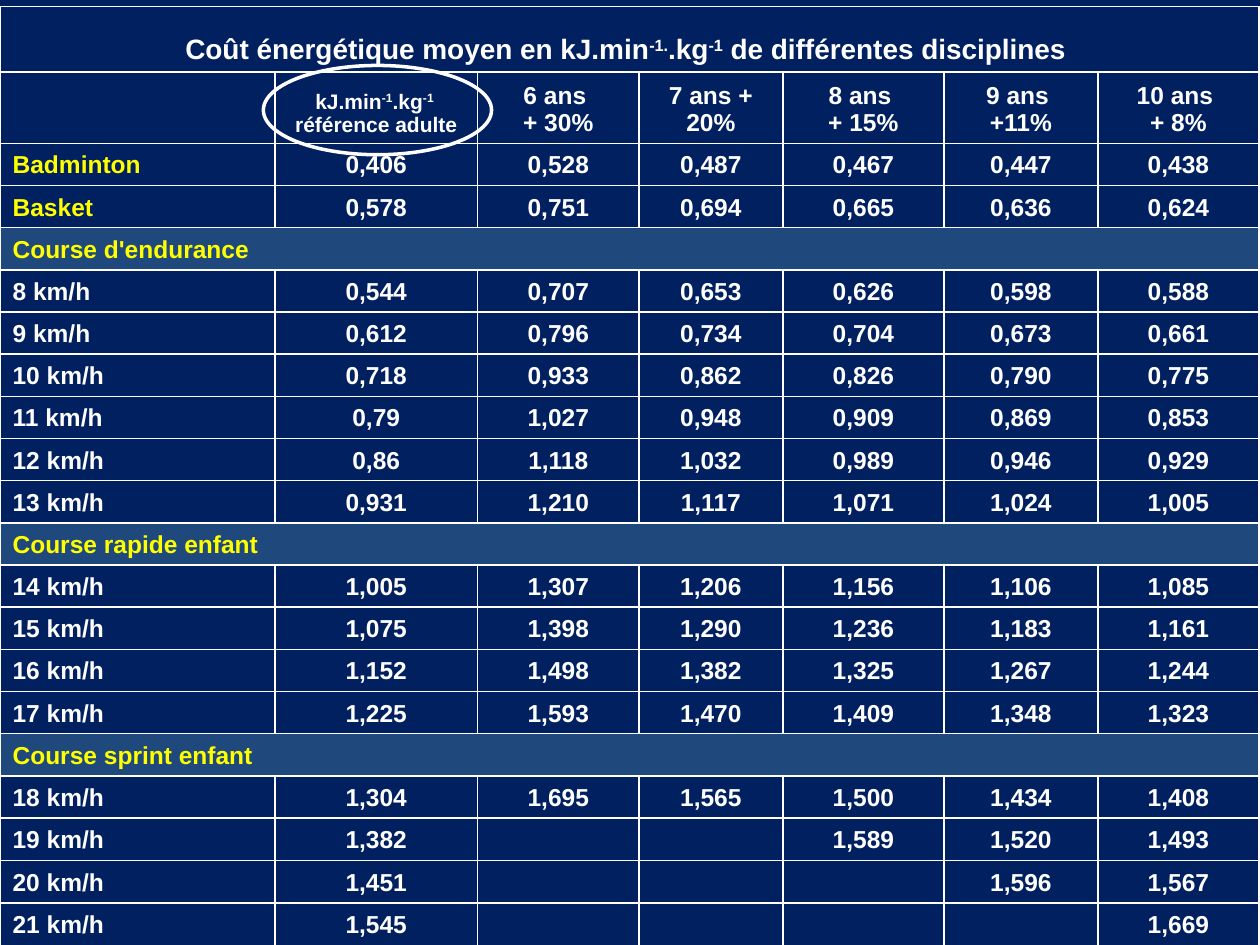
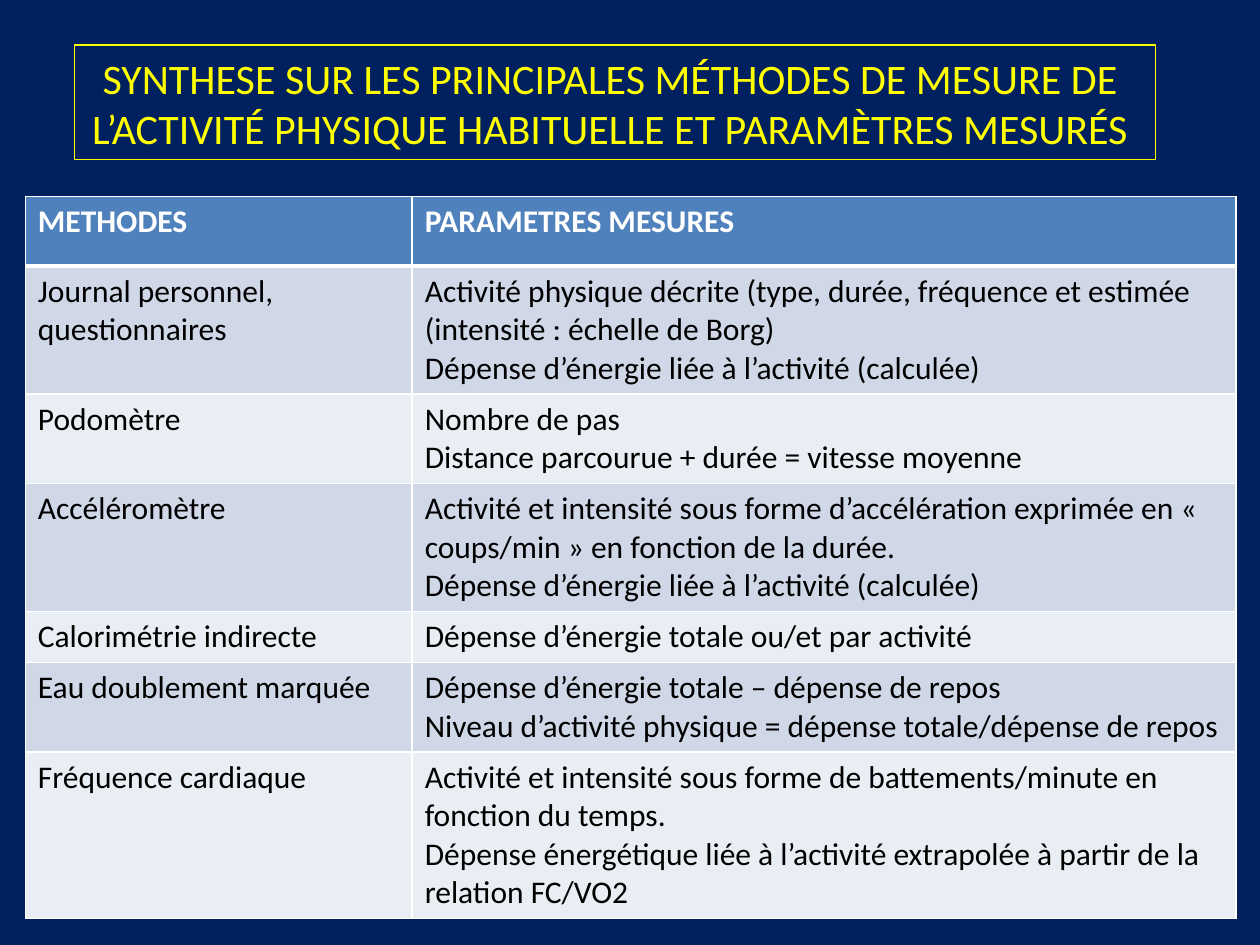
from dataclasses import dataclass

from lxml.etree import SubElement
from pptx import Presentation
from pptx.dml.color import RGBColor
from pptx.enum.shapes import MSO_SHAPE
from pptx.enum.text import MSO_ANCHOR, PP_ALIGN
from pptx.oxml import parse_xml
from pptx.oxml.ns import nsdecls, qn
from pptx.util import Cm, Pt


@dataclass(frozen=True)
class Theme:
    navy: str = "002060"
    white: str = "FFFFFF"
    black: str = "000000"
    yellow: str = "FFFF00"
    section: str = "1F497D"
    header: str = "4F81BD"
    bands: tuple = ("D0D8E8", "E9EDF4")
    data_font: str = "Arial"
    text_font: str = "Calibri"
    note_size: int = 12
    data_size: int = 14
    caption_size: int = 16
    body_size: int = 18
    title_size: int = 24


COST_CAPTION = "Coût énergétique moyen en kJ.min^-1.^.kg^-1^ de différentes disciplines "
COST_HEADER = ["", "kJ.min^-1^.kg^-1 ^\nréférence adulte", "6 ans \n+ 30%",
               "7 ans + 20%", "8 ans \n+ 15%", "9 ans \n+11%", "10 ans \n+ 8%"]
COST_ROWS = [line.split(";") for line in """\
Badminton;0,406;0,528;0,487;0,467;0,447;0,438
Basket;0,578;0,751;0,694;0,665;0,636;0,624
Course d'endurance
8 km/h;0,544;0,707;0,653;0,626;0,598;0,588
9 km/h;0,612;0,796;0,734;0,704;0,673;0,661
10 km/h;0,718;0,933;0,862;0,826;0,790;0,775
11 km/h;0,79;1,027;0,948;0,909;0,869;0,853
12 km/h;0,86;1,118;1,032;0,989;0,946;0,929
13 km/h;0,931;1,210;1,117;1,071;1,024;1,005
Course rapide enfant
14 km/h;1,005;1,307;1,206;1,156;1,106;1,085
15 km/h;1,075;1,398;1,290;1,236;1,183;1,161
16 km/h;1,152;1,498;1,382;1,325;1,267;1,244
17 km/h;1,225;1,593;1,470;1,409;1,348;1,323
Course sprint enfant
18 km/h;1,304;1,695;1,565;1,500;1,434;1,408
19 km/h;1,382;;;1,589;1,520;1,493
20 km/h;1,451;;;;1,596;1,567
21 km/h;1,545;;;;;1,669""".splitlines()]

METHODS = [
    (3, "Journal personnel, questionnaires",
     "Activité physique décrite (type, durée, fréquence et estimée (intensité : échelle de Borg)\n"
     "Dépense d’énergie liée à l’activité (calculée)"),
    (2, "Podomètre",
     "Nombre de pas\nDistance parcourue + durée = vitesse moyenne"),
    (3, "Accéléromètre",
     "Activité et intensité sous forme d’accélération exprimée en "
     "« coups/min » en fonction de la durée.\n"
     "Dépense d’énergie liée à l’activité (calculée)"),
    (1, "Calorimétrie indirecte", "Dépense d’énergie totale ou/et par activité"),
    (2, "Eau doublement marquée",
     "Dépense d’énergie totale – dépense de repos\n"
     "Niveau d’activité physique = dépense totale/dépense de repos"),
    (4, "Fréquence cardiaque",
     "Activité et intensité sous forme de battements/minute en fonction du temps.\n"
     "Dépense énergétique liée à l’activité extrapolée à partir de la relation FC/VO2"),
]


class Deck:
    def __init__(self, theme):
        self.theme = theme
        self.prs = Presentation()
        self.prs.slide_width, self.prs.slide_height = Cm(25.4), Cm(19.05)
        self.s = None

    def slide(self):
        self.s = self.prs.slides.add_slide(self.prs.slide_layouts[6])
        fill = self.s.background.fill
        fill.solid()
        fill.fore_color.rgb = RGBColor.from_string(self.theme.navy)

    def text(self, tf, text, color, align=PP_ALIGN.LEFT, **font):
        for i, line in enumerate(text.split("\n")):
            p = tf.add_paragraph() if i else tf.paragraphs[0]
            p.alignment = align
            if not line:
                SubElement(p._p, qn("a:endParaRPr"), sz=str(font["size"].centipoints))
                continue
            for j, part in enumerate(line.split("^")):
                if not part:
                    continue
                r = p.add_run()
                r.text = part
                for name, value in font.items():
                    setattr(r.font, name, value)
                r.font.color.rgb = RGBColor.from_string(color)
                if j % 2:
                    r._r.get_or_add_rPr().set("baseline", "30000")

    def shape(self, kind, x, y, w, h, color, weight):
        sp = self.s.shapes.add_shape(kind, Cm(x), Cm(y), Cm(w), Cm(h))
        sp.shadow.inherit = False
        sp.fill.background()
        sp.line.color.rgb = RGBColor.from_string(color)
        sp.line.width = Pt(weight)
        return sp

    def title(self, text, x, y, w, h):
        t = self.theme
        sp = self.shape(MSO_SHAPE.RECTANGLE, x, y, w, h, t.yellow, 0.75)
        sp.text_frame.word_wrap = False
        self.text(sp.text_frame, text, t.yellow, PP_ALIGN.CENTER,
                  name=t.text_font, size=Pt(t.title_size))

    def table(self, x, y, widths, heights):
        frame = self.s.shapes.add_table(len(heights), len(widths), Cm(x), Cm(y),
                                        Cm(sum(widths)), Cm(sum(heights)))
        table = frame.table
        table.first_row = table.horz_banding = False
        for column, width in zip(table.columns, widths):
            column.width = Cm(width)
        for row, height in zip(table.rows, heights):
            row.height = Cm(height)
        return table

    def cell(self, cell, text, color, fill=None, anchor=MSO_ANCHOR.TOP,
             top=1, bottom=1, **style):
        cell.vertical_anchor = anchor
        if fill:
            cell.fill.solid()
            cell.fill.fore_color.rgb = RGBColor.from_string(fill)
        else:
            cell.fill.background()
        tcPr = cell._tc.get_or_add_tcPr()
        for i, (side, weight) in enumerate(zip("LRTB", (1, 1, top, bottom))):
            tcPr.insert(i, parse_xml(
                f'<a:ln{side} {nsdecls("a")} w="{Pt(weight)}"><a:solidFill>'
                f'<a:srgbClr val="{self.theme.white}"/></a:solidFill></a:ln{side}>'))
        self.text(cell.text_frame, text, color, **style)


def energy_cost(deck):
    t = deck.theme
    deck.slide()
    rows = [[COST_CAPTION], COST_HEADER] + COST_ROWS
    widths = [5.54, 4.09, 3.25, 2.9, 3.25, 3.1, 3.25]
    table = deck.table(0, 0.13, widths, [1.32, 1.44] + [0.85] * len(COST_ROWS))
    sizes = {(0, 0): t.caption_size, (1, 1): t.note_size}
    for i, values in enumerate(rows):
        banner = len(values) == 1
        for j in range(len(widths)):
            text = values[j] if j < len(values) else ""
            yellow = i > 1 and j == 0 and not text.endswith("km/h")
            deck.cell(table.cell(i, j), text, t.yellow if yellow else t.white,
                      fill=t.section if banner and i else None,
                      anchor=MSO_ANCHOR.BOTTOM,
                      align=PP_ALIGN.CENTER if j or not i else PP_ALIGN.LEFT,
                      name=t.data_font, size=Pt(sizes.get((i, j), t.data_size)), bold=True)
        if banner:
            table.cell(i, 0).merge(table.cell(i, len(widths) - 1))
    deck.shape(MSO_SHAPE.OVAL, 5.31, 1.32, 4.6, 1.8, t.white, 2)


def methods_summary(deck):
    t = deck.theme
    deck.slide()
    heights = [1.4] + [0.25 + 0.76 * lines for lines, *_ in METHODS]
    table = deck.table(0.51, 3.96, [7.8, 16.61], heights)
    rows = [("METHODES", "PARAMETRES MESURES")] + [pair for _, *pair in METHODS]
    for i, pair in enumerate(rows):
        head = i == 0
        for j, text in enumerate(pair):
            deck.cell(table.cell(i, j), text, t.white if head else t.black,
                      fill=t.header if head else t.bands[(i - 1) % 2],
                      top=3 if i == 1 else 1, bottom=3 if head else 1,
                      name=t.text_font, size=Pt(t.body_size), bold=head)
    deck.title("SYNTHESE SUR LES PRINCIPALES MÉTHODES DE MESURE DE \n"
               "L’ACTIVITÉ PHYSIQUE HABITUELLE ET PARAMÈTRES MESURÉS ",
               1.5, 0.91, 21.79, 2.31)


def main():
    deck = Deck(Theme())
    energy_cost(deck)
    methods_summary(deck)
    deck.prs.save("out.pptx")


if __name__ == "__main__":
    main()
